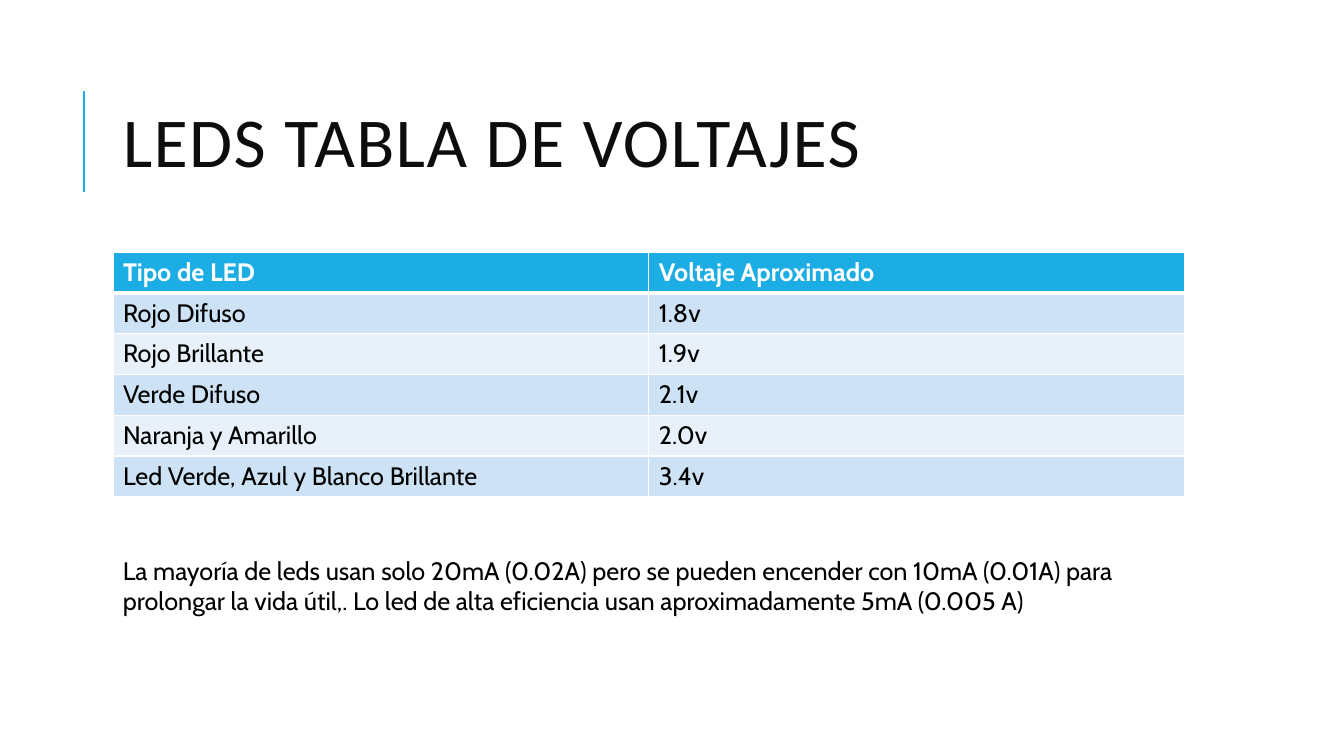
import pptx
import pptx.util
import pptx.dml.color
import pptx.enum.shapes
import pptx.enum.text
import pptx.oxml.ns
from lxml import etree

RGB = pptx.dml.color.RGBColor
ACCENT = RGB(0x1C, 0xAD, 0xE4)
BAND_DARK = RGB(0xCD, 0xE3, 0xF5)
BAND_LIGHT = RGB(0xE8, 0xF1, 0xFA)
TITLE_INK = RGB(0x0D, 0x0D, 0x0D)
BLACK = RGB(0, 0, 0)
WHITE = RGB(0xFF, 0xFF, 0xFF)

PX = 9144
TITLE_BOX = (112, 64, 1063, 164)
TABLE_BOX = (112, 250, 1063, 243)
NOTE_BOX = (112, 546, 1063, 71)
TITLE = "LEDS TABLA DE VOLTAJES"
NOTE = (
    "La mayoría de leds usan solo 20mA (0.02A) pero se pueden encender con "
    "10mA (0.01A) para prolongar la vida útil,. Lo led de alta eficiencia usan "
    "aproximadamente 5mA (0.005 A)"
)
VOLTAGES = [
    ("Tipo de LED", "Voltaje Aproximado"),
    ("Rojo Difuso", "1.8v"),
    ("Rojo Brillante", "1.9v"),
    ("Verde Difuso", "2.1v"),
    ("Naranja y Amarillo", "2.0v"),
    ("Led Verde, Azul y Blanco Brillante", "3.4v"),
]


def emu(*lengths):
    """Turn px lengths into EMU."""
    return [pptx.util.Emu(n * PX) for n in lengths]


def add_run(tf, text, size, color, name="Cabin", bold=False):
    """Write one formatted run into the first paragraph and return it."""
    r = tf.paragraphs[0].add_run()
    r.text = text
    for key, value in dict(name=name, size=pptx.util.Pt(size), bold=bold).items():
        setattr(r.font, key, value)
    r.font.color.rgb = color
    return r


def add_text_box(s, box):
    """Add a wrapping text box and return its text frame."""
    tf = s.shapes.add_textbox(*emu(*box)).text_frame
    tf.word_wrap = True
    return tf


def add_title(s, box):
    """Place the title and the accent rule at its left."""
    x, y, w, h = box
    rule_x = x - 29
    rule = s.shapes.add_connector(
        pptx.enum.shapes.MSO_CONNECTOR.STRAIGHT,
        *emu(rule_x, y + 126, rule_x, y + 26),
    )
    rule.line.color.rgb = ACCENT
    rule.line.width = pptx.util.Pt(1.5)
    etree.SubElement(rule._element.spPr, pptx.oxml.ns.qn("a:effectLst"))
    tf = add_text_box(s, box)
    tf.vertical_anchor = pptx.enum.text.MSO_ANCHOR.MIDDLE
    tf.paragraphs[0].line_spacing = 0.8
    r = add_run(tf, TITLE, 50, TITLE_INK, "Calibri")
    r._r.get_or_add_rPr().set("spc", "100")


def set_borders(cell, widths):
    """Draw white cell borders of the given widths in points."""
    qn = pptx.oxml.ns.qn
    tcPr = cell._tc.get_or_add_tcPr()
    for side, width in widths.items():
        ln = etree.SubElement(tcPr, qn(f"a:ln{side}"), w=str(pptx.util.Pt(width)))
        fill = etree.SubElement(ln, qn("a:solidFill"))
        etree.SubElement(fill, qn("a:srgbClr"), val=str(WHITE))


def add_voltage_table(s, box):
    """Place the banded voltage table with equal rows and columns."""
    rows, cols = len(VOLTAGES), len(VOLTAGES[0])
    table = s.shapes.add_table(rows, cols, *emu(*box)).table
    for i, values in enumerate(VOLTAGES):
        header = i == 0
        band = BAND_DARK if i % 2 else BAND_LIGHT
        for j, text in enumerate(values):
            cell = table.cell(i, j)
            add_run(cell.text_frame, text, 18, WHITE if header else BLACK, bold=header)
            set_borders(cell, dict(L=1, R=1, T=3 if i == 1 else 1, B=3 if header else 1))
            cell.fill.solid()
            cell.fill.fore_color.rgb = ACCENT if header else band


def add_note(s, box):
    """Place the note on current below the table."""
    tf = add_text_box(s, box)
    tf.auto_size = pptx.enum.text.MSO_AUTO_SIZE.SHAPE_TO_FIT_TEXT
    add_run(tf, NOTE, 18, BLACK)


def main():
    """Build the slide and save it."""
    prs = pptx.Presentation()
    prs.slide_width, prs.slide_height = emu(1333, 750)
    s = prs.slides.add_slide(prs.slide_layouts[6])
    add_title(s, TITLE_BOX)
    add_voltage_table(s, TABLE_BOX)
    add_note(s, NOTE_BOX)
    prs.save("out.pptx")


if __name__ == "__main__":
    main()
